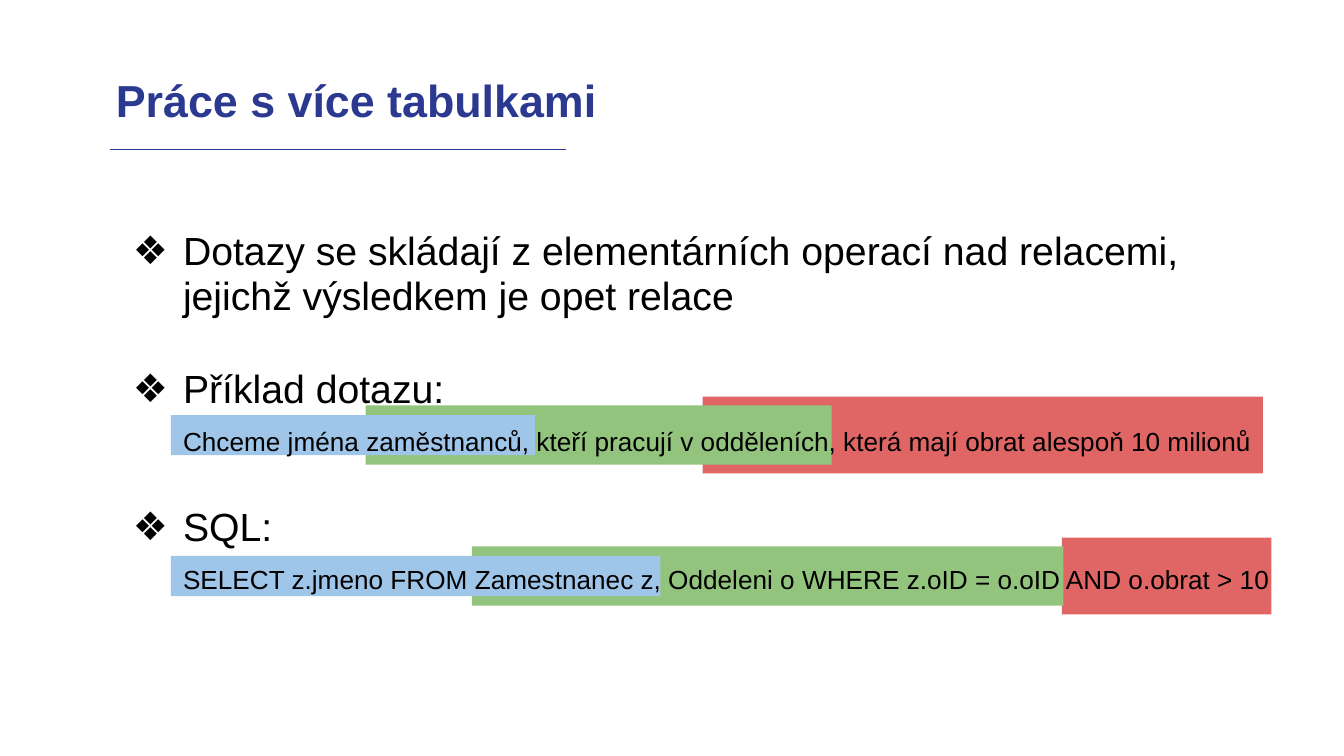
from lxml import etree
from pptx import Presentation, util as u
from pptx.dml.color import RGBColor
from pptx.enum import shapes, text
from pptx.oxml.ns import qn

Cm, Pt = u.Cm, u.Pt
NAVY, BLACK = "2B3990", "000000"
RED, GREEN, BLUE = "E06666", "93C47D", "9FC5E8"


def color(code):
    return RGBColor.from_string(code)


def frame(left, top, width, height, anchor):
    """Add a wrapping text box and return its text frame."""
    tf = slide.shapes.add_textbox(Cm(left), Cm(top), Cm(width), Cm(height)).text_frame
    tf.word_wrap = True
    tf.vertical_anchor = anchor
    tf.margin_left = tf.margin_right = tf.margin_top = tf.margin_bottom = Cm(0.18)
    return tf


prs = Presentation()
prs.slide_width, prs.slide_height = Cm(25.4), Cm(14.28)
slide = prs.slides.add_slide(prs.slide_layouts[6])

# Coloured bands, centred on each query line: (left, width) per colour
bands = [(RED, 1.45), (GREEN, 1.12), (BLUE, 0.76)]
rows = [
    (10.88, [(20.07, 3.96), (8.92, 11.18), (3.23, 9.25)]),
    (8.22, [(13.28, 10.59), (6.91, 8.81), (3.23, 6.88)]),
]
for mid, spans in rows:
    for (fill, height), (left, width) in zip(bands, spans):
        band = slide.shapes.add_shape(
            shapes.MSO_SHAPE.RECTANGLE,
            Cm(left), Cm(mid - height / 2), Cm(width), Cm(height))
        band.shadow.inherit = False
        band.fill.solid()
        band.fill.fore_color.rgb = color(fill)
        band.line.fill.background()

# Body: each bullet has a heading and, for two of them, a query line
body = frame(2.01, 2.87, 22.86, 9.19, text.MSO_ANCHOR.TOP)
body.margin_top = Cm(1.47)
# words, size, space before, bulleted
lines = [
    ("Dotazy se skládají z elementárních operací nad relacemi,\v"
     "jejichž výsledkem je opet relace", 21, 0, True),
    ("Příklad dotazu:", 21, 26, True),
    ("Chceme jména zaměstnanců, kteří pracují v odděleních, "
     "která mají obrat alespoň 10 milionů", 14, 8, False),
    ("SQL:", 21, 26, True),
    ("SELECT z.jmeno FROM Zamestnanec z, Oddeleni o "
     "WHERE z.oID = o.oID AND o.obrat > 10", 14, 8, False),
]
for i, (words, size, space, mark) in enumerate(lines):
    par = body.add_paragraph() if i else body.paragraphs[0]
    par.text = words
    par.line_spacing = 0.95
    par.space_before = Pt(space)
    props = par._p.get_or_add_pPr()
    props.set("marL", str(Cm(1.27)))
    props.set("indent", str(-Cm(0.95) if mark else 0))
    if mark:
        tint = etree.SubElement(props, qn("a:buClr"))
        etree.SubElement(tint, qn("a:srgbClr"), val=BLACK)
        etree.SubElement(props, qn("a:buFont"), typeface="Arial")
        etree.SubElement(props, qn("a:buChar"), char="❖")
    par.font.name = "Arial"
    par.font.size = Pt(size)
    par.font.color.rgb = color(BLACK)

# Title and its rule
title = frame(2.01, 1.09, 17.35, 1.7, text.MSO_ANCHOR.MIDDLE).paragraphs[0]
title.text = "Práce s více tabulkami"
title.line_spacing = 0.9
title.font.name = "Arial"
title.font.size = Pt(24)
title.font.bold = True
title.font.color.rgb = color(NAVY)

rule = slide.shapes.add_connector(
    shapes.MSO_CONNECTOR.STRAIGHT, Cm(2.08), Cm(2.82), Cm(10.69), Cm(2.82))
rule.line.color.rgb = color(NAVY)
rule.line.width = Pt(0.75)
etree.SubElement(rule._element.spPr, qn("a:effectLst"))

prs.save("out.pptx")
